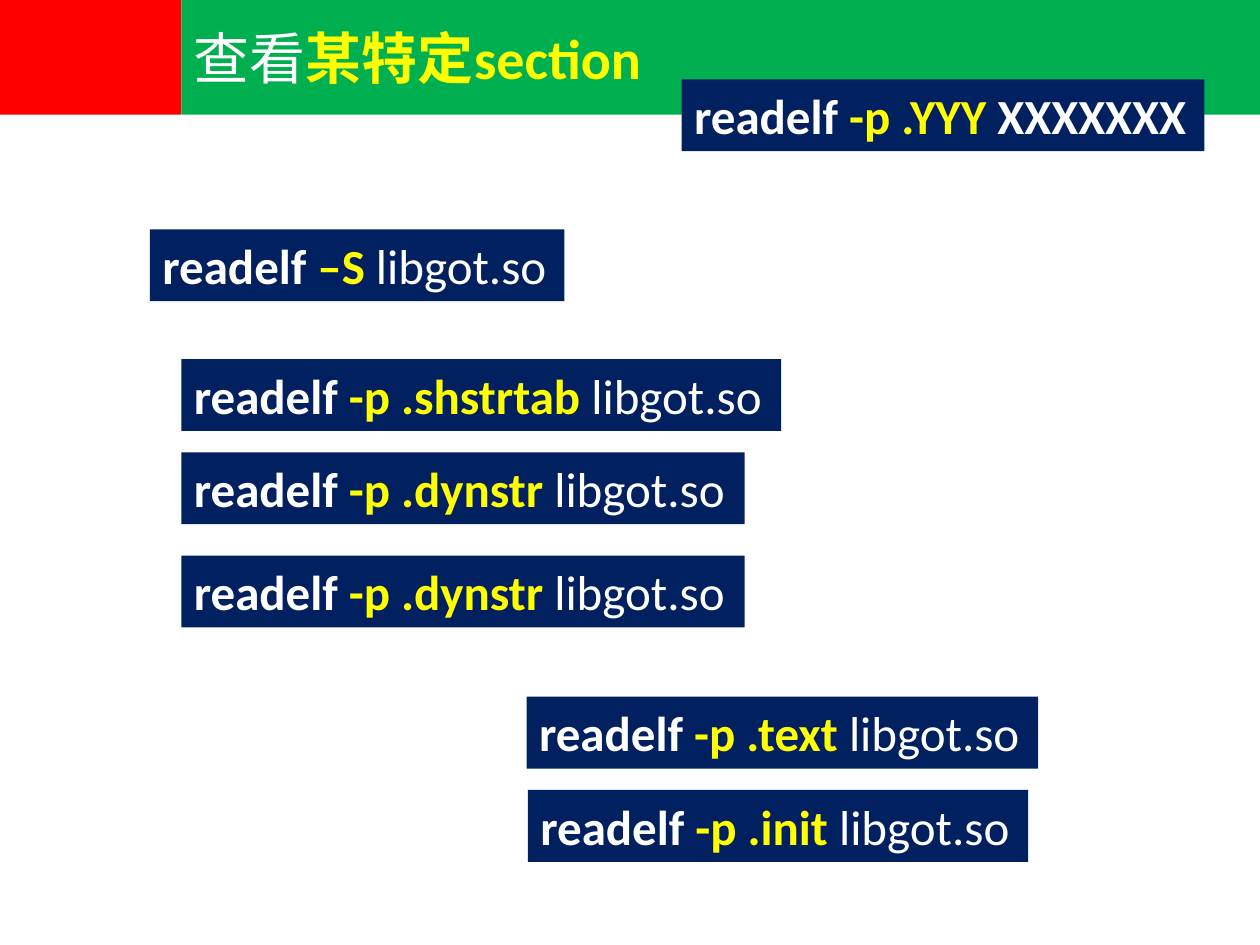
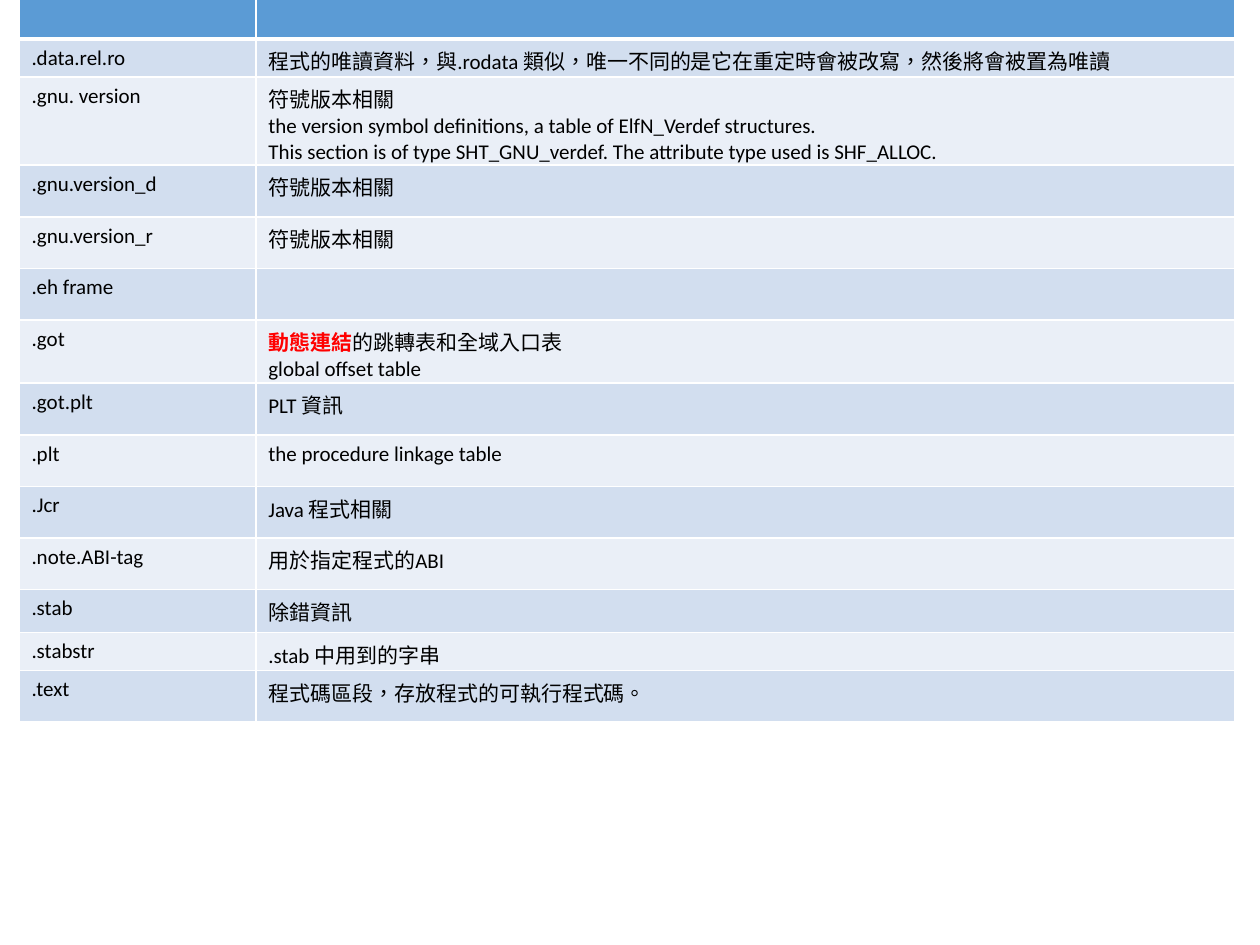
import pptx
import pptx.util
import pptx.dml.color
import pptx.enum.lang
import pptx.enum.shapes
import pptx.enum.text
import pptx.oxml
import pptx.oxml.ns

Inches = pptx.util.Inches
RGBColor = pptx.dml.color.RGBColor

RED = RGBColor(0xFF, 0x00, 0x00)
GREEN = RGBColor(0x00, 0xB0, 0x50)
NAVY = RGBColor(0x00, 0x20, 0x60)
YELLOW = RGBColor(0xFF, 0xFF, 0x00)
WHITE = RGBColor(0xFF, 0xFF, 0xFF)
BLACK = RGBColor(0x00, 0x00, 0x00)
HEADER_BLUE = RGBColor(0x5B, 0x9B, 0xD5)
ROW_BLUES = (RGBColor(0xD2, 0xDE, 0xEF), RGBColor(0xEA, 0xEF, 0xF7))

FONT = "Calibri"
BAND_HEIGHT = 0.91
BAND_SPLIT = 1.44
COMMAND_HEIGHT = 0.57

COMMANDS = [
    (5.41, 0.63, 4.15, "-p .YYY ", "XXXXXXX", True),
    (1.19, 1.82, 3.29, "–S ", "libgot.so", False),
    (1.44, 2.85, 4.76, "-p .shstrtab ", "libgot.so", False),
    (1.44, 3.59, 4.47, "-p .dynstr ", "libgot.so", False),
    (1.44, 4.41, 4.47, "-p .dynstr ", "libgot.so", False),
    (4.18, 5.53, 4.06, "-p .text ", "libgot.so", False),
    (4.19, 6.27, 3.97, "-p .init ", "libgot.so", False),
]

VERSION_INFO = "符號版本相關"
HEADER_ROW_HEIGHT = 0.24
SECTIONS = [
    (".data.rel.ro", 0.21, ["程式的唯讀資料，與.rodata 類似，唯一不同的是它在重定時會被改寫，然後將會被置為唯讀"]),
    (".gnu. version", 0.41, [
        VERSION_INFO,
        "the version symbol definitions, a table of ElfN_Verdef structures.",
        "This section is of type SHT_GNU_verdef. The attribute type used is SHF_ALLOC.",
    ]),
    (".gnu.version_d", 0.41, [VERSION_INFO]),
    (".gnu.version_r", 0.41, [VERSION_INFO]),
    (".eh frame", 0.41, []),
    (".got", 0.41, [
        [("動態連結", RED, True), ("的跳轉表和全域入口表", BLACK, False)],
        "global offset table",
    ]),
    (".got.plt", 0.41, ["PLT 資訊"]),
    (".plt", 0.41, ["the procedure linkage table"]),
    (".Jcr", 0.41, ["Java 程式相關"]),
    (".note.ABI-tag", 0.41, ["用於指定程式的ABI"]),
    (".stab", 0.34, ["除錯資訊"]),
    (".stabstr", 0.24, [".stab 中用到的字串"]),
    (".text", 0.41, ["程式碼區段，存放程式的可執行程式碼。"]),
]


def add_runs(paragraph, runs, size):
    for text, color, bold in runs:
        run = paragraph.add_run()
        run.text = text
        formats = {
            "name": FONT,
            "size": pptx.util.Pt(size),
            "bold": bold,
            "language_id": pptx.enum.lang.MSO_LANGUAGE_ID.TRADITIONAL_CHINESE,
        }
        for name, value in formats.items():
            setattr(run.font, name, value)
        run.font.color.rgb = color


def set_fill(target, color):
    target.fill.solid()
    target.fill.fore_color.rgb = color


def add_band(slide, left, width, color):
    shape = slide.shapes.add_shape(
        pptx.enum.shapes.MSO_SHAPE.RECTANGLE,
        Inches(left), 0, Inches(width), Inches(BAND_HEIGHT))
    shape.shadow.inherit = False
    set_fill(shape, color)
    shape.line.fill.background()
    return shape


def add_title_band(slide, runs):
    add_band(slide, 0, BAND_SPLIT, RED)
    shape = add_band(slide, BAND_SPLIT, 10 - BAND_SPLIT, GREEN)
    shape.text_frame.vertical_anchor = pptx.enum.text.MSO_ANCHOR.MIDDLE
    paragraph = shape.text_frame.paragraphs[0]
    paragraph.alignment = pptx.enum.text.PP_ALIGN.LEFT
    add_runs(paragraph, runs, 32)


def add_command(slide, left, top, width, option, target, target_bold):
    box = slide.shapes.add_textbox(
        Inches(left), Inches(top), Inches(width), Inches(COMMAND_HEIGHT))
    set_fill(box, NAVY)
    box.text_frame.word_wrap = False
    box.text_frame.auto_size = pptx.enum.text.MSO_AUTO_SIZE.SHAPE_TO_FIT_TEXT
    runs = [("readelf ", WHITE, True), (option, YELLOW, True), (target, WHITE, target_bold)]
    add_runs(box.text_frame.paragraphs[0], runs, 28)


def set_borders(cell, top, bottom):
    properties = cell._tc.get_or_add_tcPr()
    widths = {"L": 1, "R": 1, "T": top, "B": bottom}
    for index, (side, width) in enumerate(widths.items()):
        properties.insert(index, pptx.oxml.parse_xml(
            f'<a:ln{side} {pptx.oxml.ns.nsdecls("a")} w="{pptx.util.Pt(width)}">'
            f'<a:solidFill><a:srgbClr val="{WHITE}"/></a:solidFill></a:ln{side}>'))


def fill_cell(cell, lines):
    for index, line in enumerate(lines):
        frame = cell.text_frame
        paragraph = frame.add_paragraph() if index else frame.paragraphs[0]
        add_runs(paragraph, [(line, BLACK, False)] if isinstance(line, str) else line, 12)


def add_section_table(slide):
    rows = [("", HEADER_ROW_HEIGHT, [])] + SECTIONS
    table = slide.shapes.add_table(
        len(rows), 2, Inches(0.15), Inches(-0.09), Inches(9.65), Inches(5.78)).table
    for column, width in zip(table.columns, (1.88, 7.77)):
        column.width = Inches(width)
    for index, (section, height, description) in enumerate(rows):
        table.rows[index].height = Inches(height)
        color = ROW_BLUES[(index - 1) % 2] if index else HEADER_BLUE
        for column, lines in enumerate(([section] if section else [], description)):
            cell = table.cell(index, column)
            set_fill(cell, color)
            set_borders(cell, 3 if index == 1 else 1, 1 if index else 3)
            fill_cell(cell, lines)


def main():
    presentation = pptx.Presentation()
    presentation.slide_width = Inches(10)
    presentation.slide_height = Inches(7.5)
    blank = presentation.slide_layouts[6]

    command_slide = presentation.slides.add_slide(blank)
    add_title_band(command_slide, [("查看", WHITE, False), ("某特定section", YELLOW, True)])
    for command in COMMANDS:
        add_command(command_slide, *command)

    add_section_table(presentation.slides.add_slide(blank))
    presentation.save("out.pptx")


if __name__ == "__main__":
    main()
